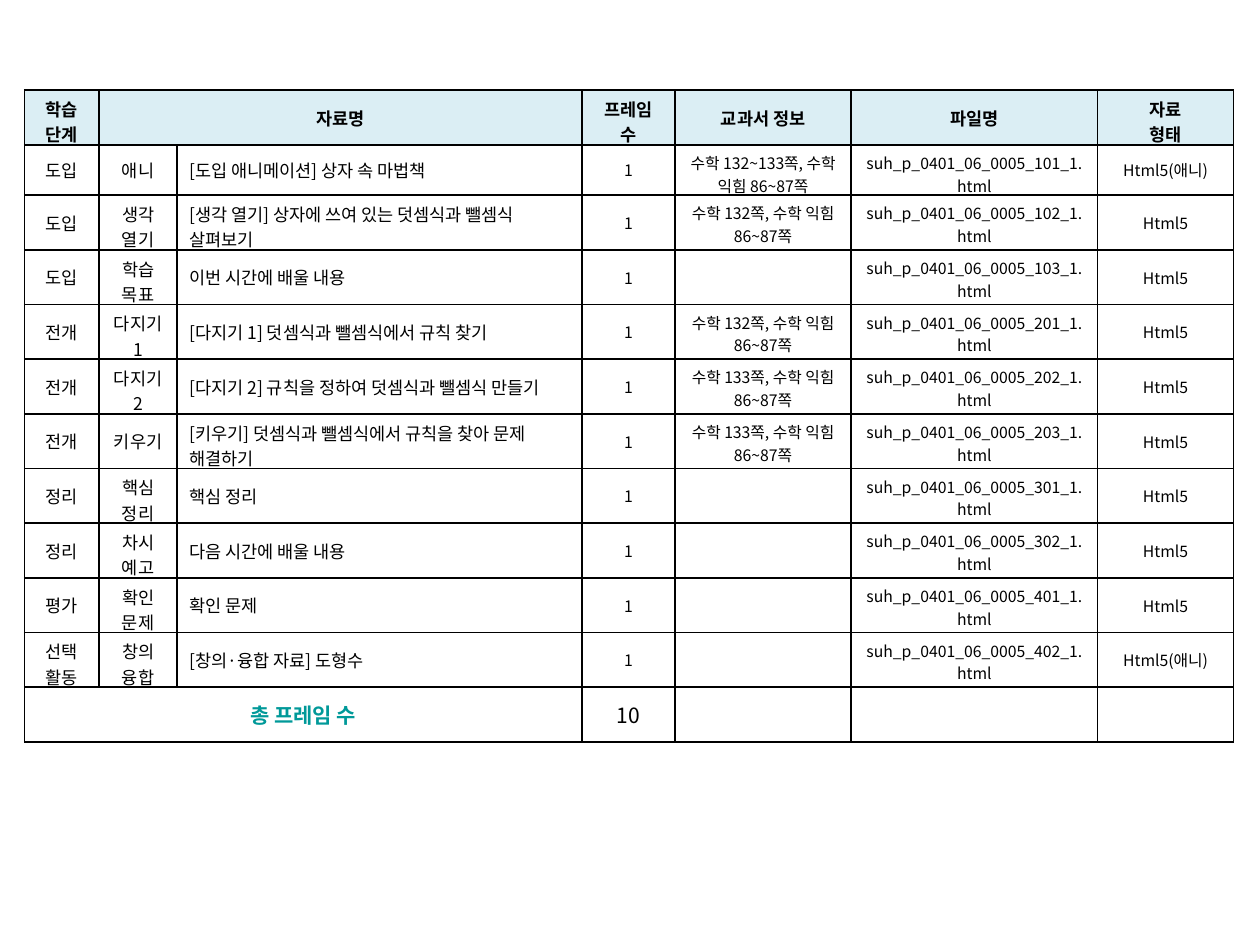
from lxml import etree
from pptx import Presentation
from pptx.dml.color import RGBColor
from pptx.enum import text
from pptx.oxml.ns import qn
from pptx.util import Pt

FONT = "Noto Sans CJK KR"
COLORS = {"ink": "000000", "header": "DBEEF4", "total": "009999"}
HEADER = ["학습 단계", "자료명", "", "프레임 수", "교과서 정보", "파일명", "자료\n형태"]
LESSONS = [
    ("도입", "애니", "[도입 애니메이션] 상자 속 마법책", "132~133", "101", "Html5(애니)"),
    ("도입", "생각 열기", "[생각 열기] 상자에 쓰여 있는 덧셈식과 뺄셈식 살펴보기", "132", "102", "Html5"),
    ("도입", "학습 목표", "이번 시간에 배울 내용", "", "103", "Html5"),
    ("전개", "다지기 1", "[다지기 1] 덧셈식과 뺄셈식에서 규칙 찾기", "132", "201", "Html5"),
    ("전개", "다지기 2", "[다지기 2] 규칙을 정하여 덧셈식과 뺄셈식 만들기", "133", "202", "Html5"),
    ("전개", "키우기", "[키우기] 덧셈식과 뺄셈식에서 규칙을 찾아 문제 해결하기", "133", "203", "Html5"),
    ("정리", "핵심 정리", "핵심 정리", "", "301", "Html5"),
    ("정리", "차시 예고", "다음 시간에 배울 내용", "", "302", "Html5"),
    ("평가", "확인 문제", "확인 문제", "", "401", "Html5"),
    ("선택 활동", "창의 융합", "[창의·융합 자료] 도형수", "", "402", "Html5(애니)"),
]
TOTAL = ["총 프레임 수", "", "", str(len(LESSONS)), "", "", ""]
LEFT, TOP = 14, 51.5
COL_WIDTHS = [42.6, 44.6, 231.4, 53.2, 100.6, 140.9, 77.7]
ROW_HEIGHT, FIRST_LESSON_HEIGHT = 31.25, 28.8
TITLE_COL, BOOK_COL, FILE_COL = 2, 4, 5
LONG_TITLE = 29
TIGHT_BOTTOM = -1.2


def lesson_row(stage, step, title, pages, code, kind):
    book = f"수학 {pages}쪽, 수학 익힘 86~87쪽" if pages else ""
    return [stage, step, title, "1", book, f"suh_p_0401_06_0005_{code}_1.html", kind]


def has_two_lines(i, j, value):
    if i == last:
        return False
    if i == 0:
        return j != BOOK_COL and len(value.split()) > 1
    if j == TITLE_COL:
        return len(value) >= LONG_TITLE
    return j in (BOOK_COL, FILE_COL) or " " in value


def add_borders(cell):
    tcPr = cell._tc.get_or_add_tcPr()
    for i, side in enumerate(("lnL", "lnR", "lnT", "lnB")):
        ln = etree.Element(qn(f"a:{side}"), w=str(Pt(1)))
        fill = etree.SubElement(ln, qn("a:solidFill"))
        etree.SubElement(fill, qn("a:srgbClr"), val=COLORS["ink"])
        tcPr.insert(i, ln)


def write(cell, value, size, bold, color, align, kerned):
    tf = cell.text_frame
    tf.text = value
    for p in tf.paragraphs:
        p.alignment = align
        for r in p.runs:
            r.font.size, r.font.bold, r.font.name = Pt(size), bold, FONT
            r.font.color.rgb = RGBColor.from_string(color)
            etree.SubElement(r.font._element, qn("a:ea"), typeface=FONT)
            if not kerned:
                r.font._element.set("kern", "0")


prs = Presentation()
prs.slide_width, prs.slide_height = Pt(720), Pt(540)
s = prs.slides.add_slide(prs.slide_layouts[6])

rows = [HEADER, *(lesson_row(*lesson) for lesson in LESSONS), TOTAL]
last = len(rows) - 1
heights = [ROW_HEIGHT] * len(rows)
heights[1] = FIRST_LESSON_HEIGHT
table = s.shapes.add_table(len(rows), len(COL_WIDTHS), Pt(LEFT), Pt(TOP),
                           Pt(sum(COL_WIDTHS)), Pt(sum(heights))).table
table.first_row = table.horz_banding = False
for column, width in zip(table.columns, COL_WIDTHS):
    column.width = Pt(width)
for row, height in zip(table.rows, heights):
    row.height = Pt(height)

for i, values in enumerate(rows):
    for j, value in enumerate(values):
        cell = table.cell(i, j)
        cell.vertical_anchor = text.MSO_ANCHOR.MIDDLE
        if has_two_lines(i, j, value):
            cell.vertical_anchor = text.MSO_ANCHOR.TOP
            cell.margin_bottom = Pt(TIGHT_BOTTOM)
        if i == 0:
            cell.fill.solid()
            cell.fill.fore_color.rgb = RGBColor.from_string(COLORS["header"])
        else:
            cell.fill.background()
        add_borders(cell)
        is_total = i == last
        size = 12 if is_total else 10 if i == 0 or j <= TITLE_COL else 9
        bold = i == 0 or (is_total and j == 0)
        color = COLORS["total" if is_total and j == 0 else "ink"]
        is_title = j == TITLE_COL and 0 < i < last
        align = text.PP_ALIGN.LEFT if is_title else text.PP_ALIGN.CENTER
        if value:
            write(cell, value, size, bold, color, align, kerned=i == 0)

table.cell(0, 1).merge(table.cell(0, TITLE_COL))
table.cell(last, 0).merge(table.cell(last, TITLE_COL))
prs.save("out.pptx")
